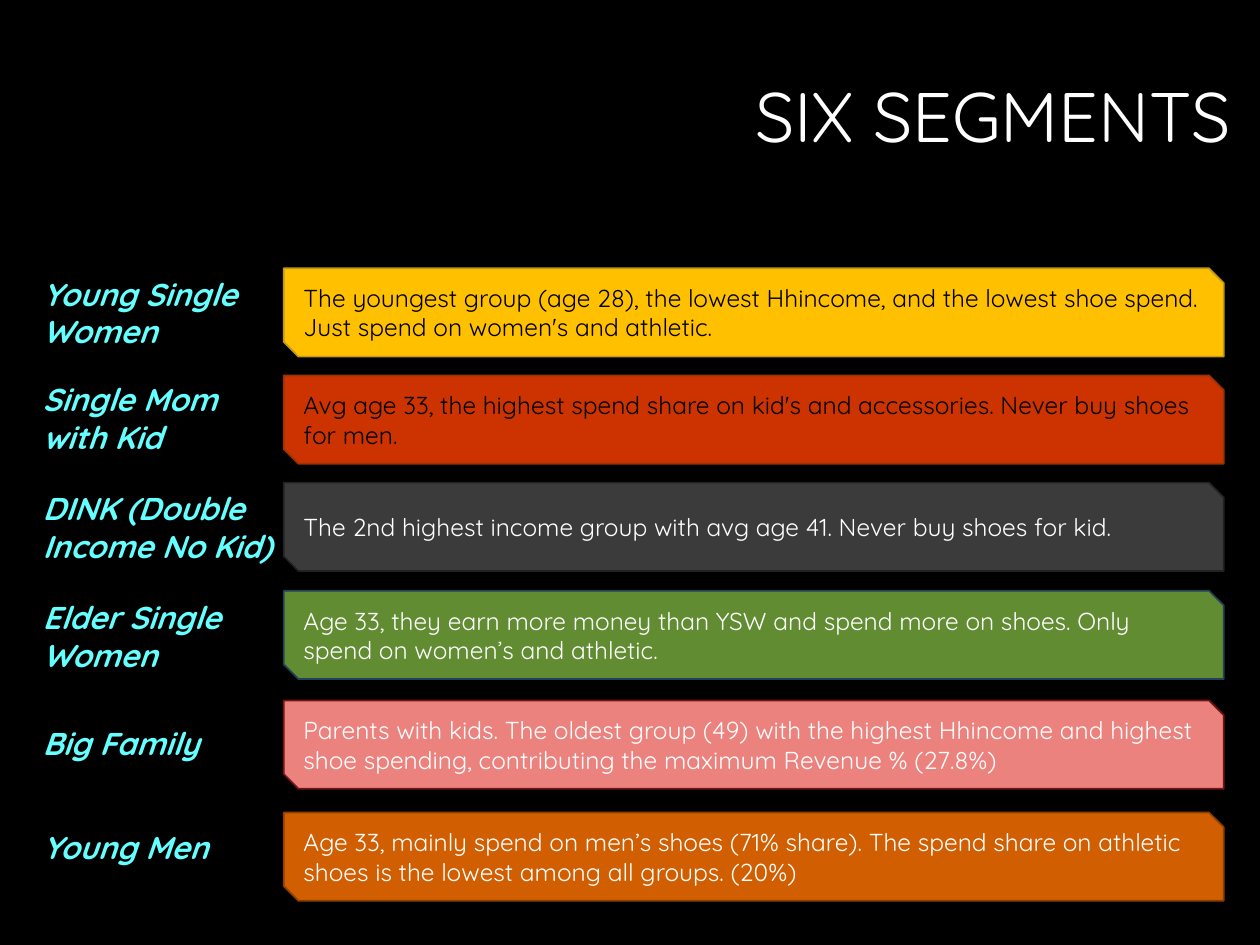
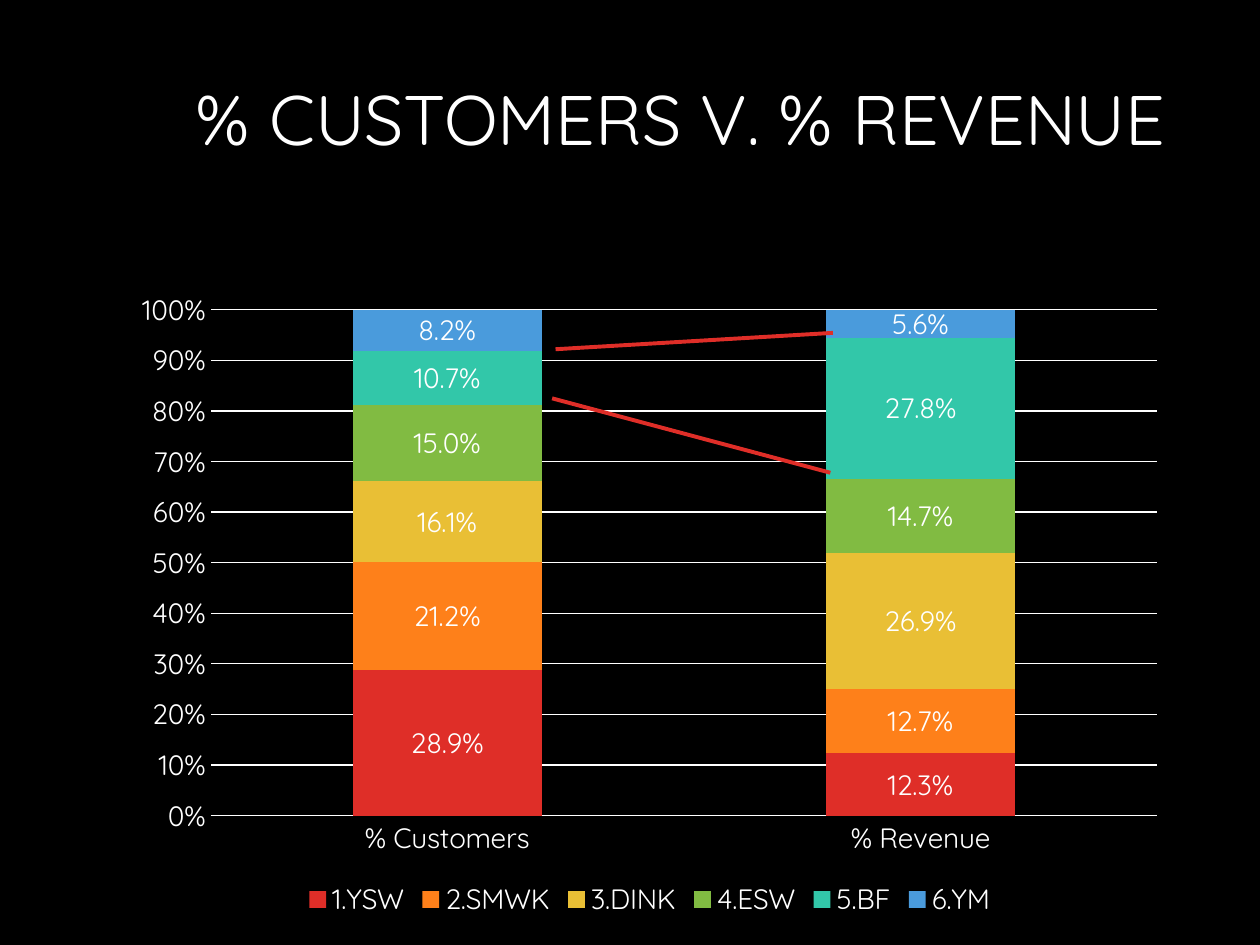
from typing import NamedTuple

from lxml.etree import SubElement
from pptx import Presentation
from pptx.chart.data import CategoryChartData as ChartData
from pptx.dml.color import RGBColor
from pptx.enum.chart import XL_CHART_TYPE as Kind
from pptx.enum.chart import XL_LABEL_POSITION as Spot
from pptx.enum.chart import XL_LEGEND_POSITION as Side
from pptx.enum.chart import XL_TICK_MARK as Tick
from pptx.enum.shapes import MSO_CONNECTOR as Link
from pptx.enum.shapes import MSO_SHAPE as Form
from pptx.enum.text import MSO_ANCHOR as Anchor
from pptx.enum.text import MSO_AUTO_SIZE as Fit
from pptx.enum.text import PP_ALIGN as Align
from pptx.oxml.ns import qn
from pptx.util import Cm, Pt

# Shared style
FACE = "Quicksand"
BLACK, WHITE, CYAN, RED = "000000", "FFFFFF", "66FFFF", "DF2E28"
BAND_LEFT, BAND_WIDE, BAND_HIGH = 5.72, 18.95, 1.78
LABEL_LEFT = 0.61


class Segment(NamedTuple):
    name: str
    text: str
    fill: str
    edge: str
    ink: str
    top: float
    name_top: float
    name_wide: float
    name_high: float = 1.8


class Series(NamedTuple):
    name: str
    color: str
    shares: tuple[float, float]


class Line(NamedTuple):
    x1: float
    y1: float
    x2: float
    y2: float


SEGMENTS = [
    Segment("Young Single Women",
            "The youngest group (age 28), the lowest Hhincome, and the lowest "
            "shoe spend. Just spend on women's and athletic.",
            "FFC000", "C19915", BLACK, 5.41, 5.41, 5.05),
    Segment("Single Mom with Kid",
            "Avg age 33, the highest spend share on kid's and accessories. "
            "Never buy shoes for men.",
            "CC3300", "993300", BLACK, 7.57, 7.54, 4.37),
    Segment("DINK (Double Income No Kid)",
            "The 2nd highest income group with avg age 41. "
            "Never buy shoes for kid.",
            "3B3B3B", "222222", WHITE, 9.73, 9.73, 5.33),
    Segment("Elder Single Women",
            "Age 33, they earn more money than YSW and spend more on shoes. "
            "Only spend on women’s and athletic.",
            "618C32", "20415A", WHITE, 11.91, 11.94, 5.11),
    Segment("Big Family",
            "Parents with kids. The oldest group (49) with the highest "
            "Hhincome and highest shoe spending, contributing the maximum "
            "Revenue % (27.8%)",
            "EC827E", "721411", WHITE, 14.12, 14.48, 4.37, 1.02),
    Segment("Young Men",
            "Age 33, mainly spend on men’s shoes (71% share). The spend share "
            "on athletic shoes is the lowest among all groups. (20%)",
            "D15E01", "8B3F01", WHITE, 16.38, 16.56, 5.11, 1.02),
]

SERIES = [
    Series("1.YSW", RED, (0.289, 0.123)),
    Series("2.SMWK", "FE801A", (0.212, 0.127)),
    Series("3.DINK", "E9BF35", (0.161, 0.269)),
    Series("4.ESW", "81BB42", (0.15, 0.147)),
    Series("5.BF", "32C7A9", (0.107, 0.278)),
    Series("6.YM", "4A9BDC", (0.082, 0.056)),
]

LINES = [Line(11.13, 8.03, 16.74, 9.53), Line(11.2, 7.04, 16.79, 6.71)]


def rgb(code: str) -> RGBColor:
    return RGBColor.from_string(code)


def style(font, size: float, color: str) -> None:
    font.name, font.size = FACE, Pt(size)
    font.color.rgb = rgb(color)


def add_page(deck, title: str, box: tuple):
    page = deck.slides.add_slide(deck.slide_layouts[5])
    head = page.shapes.title
    head.left, head.top, head.width, head.height = map(Cm, box)
    frame = head.text_frame
    frame.text = title
    frame.auto_size = Fit.NONE
    frame.vertical_anchor = Anchor.MIDDLE
    para = frame.paragraphs[0]
    para.alignment, para.line_spacing = Align.RIGHT, 0.9
    style(para.font, 40, WHITE)
    return page


def add_band(page, seg: Segment) -> None:
    band = page.shapes.add_shape(Form.SNIP_2_DIAG_RECTANGLE, Cm(BAND_LEFT),
                                 Cm(seg.top), Cm(BAND_WIDE), Cm(BAND_HIGH))
    band.shadow.inherit = False
    band.fill.solid()
    band.fill.fore_color.rgb = rgb(seg.fill)
    band.line.color.rgb = rgb(seg.edge)
    band.line.width = Pt(1)
    frame = band.text_frame
    frame.text, frame.word_wrap = seg.text, True
    frame.vertical_anchor = Anchor.MIDDLE
    para = frame.paragraphs[0]
    para.alignment = Align.LEFT
    style(para.font, 14, seg.ink)


def add_label(page, seg: Segment) -> None:
    label = page.shapes.add_textbox(Cm(LABEL_LEFT), Cm(seg.name_top),
                                    Cm(seg.name_wide), Cm(seg.name_high))
    frame = label.text_frame
    frame.text, frame.word_wrap = seg.name, True
    frame.auto_size = Fit.SHAPE_TO_FIT_TEXT
    font = frame.paragraphs[0].font
    style(font, 18, CYAN)
    font.bold = font.italic = True


def add_stack(page) -> None:
    data = ChartData(number_format="0.0%")
    data.categories = ["% Customers", "% Revenue"]
    for item in SERIES:
        data.add_series(item.name, item.shares)
    chart = page.shapes.add_chart(Kind.COLUMN_STACKED_100, Cm(2.44), Cm(5.64),
                                  Cm(21.31), Cm(12.95), data).chart
    style(chart.font, 16, WHITE)
    chart.has_title = False
    chart.has_legend = True
    chart.legend.position = Side.BOTTOM
    chart.legend.include_in_layout = False
    style(chart.legend.font, 16, WHITE)

    # Axes
    cats, vals = chart.category_axis, chart.value_axis
    for axis in (cats, vals):
        axis.major_tick_mark = axis.minor_tick_mark = Tick.NONE
        style(axis.tick_labels.font, 16, WHITE)
    vals.minimum_scale, vals.maximum_scale, vals.major_unit = 0, 1, 0.1
    vals.tick_labels.number_format = "0%"
    vals.tick_labels.number_format_is_linked = False
    vals.format.line.fill.background()
    for line in (cats.format.line, vals.major_gridlines.format.line):
        line.color.rgb = rgb(WHITE)
        line.width = Pt(0.75)

    # Columns and their values
    plot = chart.plots[0]
    plot.gap_width, plot.overlap = 150, 100
    plot.vary_by_categories = False
    for item, bar in zip(SERIES, plot.series):
        bar.format.fill.solid()
        bar.format.fill.fore_color.rgb = rgb(item.color)
        tags = bar.data_labels
        tags.show_value, tags.position = True, Spot.CENTER
        tags.number_format, tags.number_format_is_linked = "0.0%", False
        style(tags.font, 16, WHITE)


def add_line(page, line: Line) -> None:
    link = page.shapes.add_connector(Link.STRAIGHT, *map(Cm, line))
    link.line.color.rgb = rgb(RED)
    link.line.width = Pt(2.25)
    SubElement(link._element.spPr, qn("a:effectLst"))


def main() -> None:
    deck = Presentation()
    deck.slide_width, deck.slide_height = Cm(25.4), Cm(19.05)
    back = deck.slide_master.background.fill
    back.solid()
    back.fore_color.rgb = rgb(BLACK)

    # Segment list
    page = add_page(deck, "SIX SEGMENTS", (6.05, 0.89, 19.02, 3.05))
    for seg in SEGMENTS:
        add_band(page, seg)
        add_label(page, seg)

    # Share chart
    page = add_page(deck, "% CUSTOMERS V. % REVENUE",
                    (2.44, 0.69, 21.31, 3.58))
    add_stack(page)
    for line in LINES:
        add_line(page, line)

    deck.save("out.pptx")


if __name__ == "__main__":
    main()
